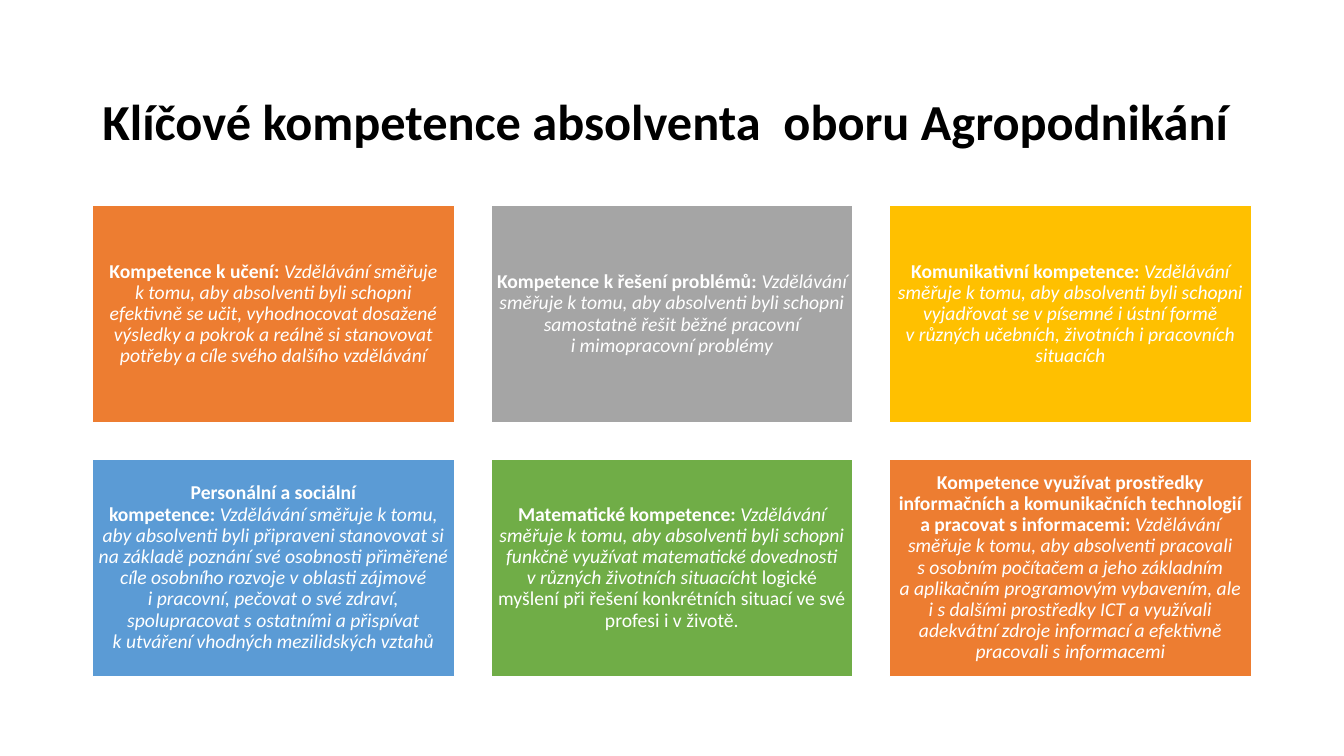
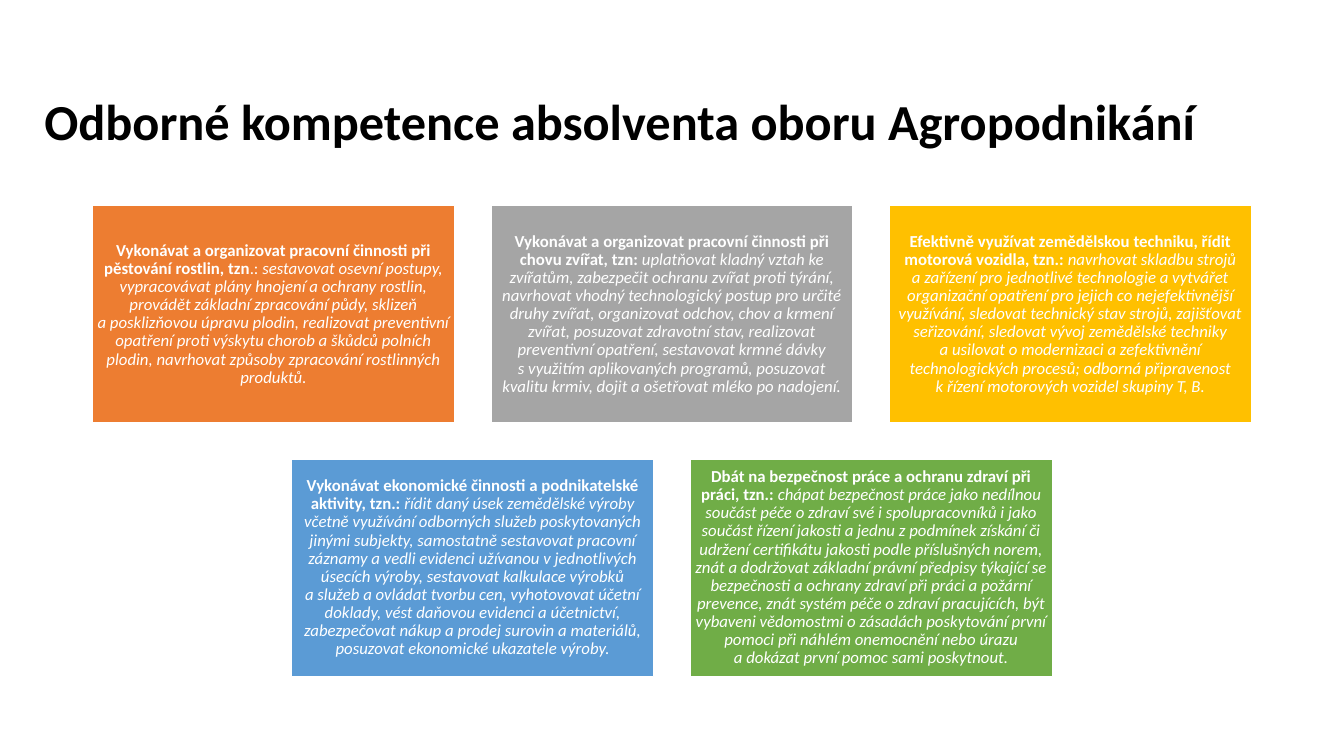
import dataclasses

import pptx
import pptx.dml.color
import pptx.enum.shapes
import pptx.enum.text
import pptx.util

Pt = pptx.util.Pt
RGBColor = pptx.dml.color.RGBColor
Alignment = pptx.enum.text.PP_ALIGN


@dataclasses.dataclass(frozen=True)
class Theme:
    font: str = "Calibri"
    title_size: int = 36
    title_color: str = "000000"
    card_text: str = "FFFFFF"
    card_fills: tuple = ("ED7D31", "A5A5A5", "FFC000", "5B9BD5", "70AD47")
    line_spacing: float = 0.9
    inset_ratio: float = 0.3


@dataclasses.dataclass(frozen=True)
class Box:
    left: float
    top: float
    width: float
    height: float

    def lengths(self):
        return [Pt(round(length, 2)) for length in dataclasses.astuple(self)]


THEME = Theme()
SLIDE_WIDTH, SLIDE_HEIGHT = 960, 540
GRID = Box(66, 146.8, 828, 336.4)
COLUMNS = 3
GAP_RATIO = 0.1
CARD_RATIO = 0.6
BOLD, ITALIC, PLAIN = "bold", "italic", "plain"
NO_BREAK_SPACE = chr(160)
SHORT_WORDS = ("a", "i", "k", "o", "s", "v")

KEY_COMPETENCES = [
    [("Kompetence k učení: ", BOLD),
     ("Vzdělávání směřuje k tomu, aby absolventi byli schopni efektivně se učit, "
      "vyhodnocovat dosažené výsledky a pokrok a reálně si stanovovat potřeby "
      "a cíle svého dalšího vzdělávání", ITALIC)],
    [("Kompetence k řešení problémů: ", BOLD),
     ("Vzdělávání směřuje k tomu, aby absolventi byli schopni samostatně řešit "
      "běžné pracovní i mimopracovní problémy", ITALIC)],
    [("Komunikativní kompetence: ", BOLD),
     ("Vzdělávání směřuje k tomu, aby absolventi byli schopni vyjadřovat se "
      "v písemné i ústní formě v různých učebních, životních i pracovních "
      "situacích", ITALIC)],
    [("Personální a sociální kompetence: ", BOLD),
     ("Vzdělávání směřuje k tomu, aby absolventi byli připraveni stanovovat si "
      "na základě poznání své osobnosti přiměřené cíle osobního rozvoje "
      "v oblasti zájmové i pracovní, pečovat o své zdraví, spolupracovat "
      "s ostatními a přispívat k utváření vhodných mezilidských vztahů", ITALIC)],
    [("Matematické kompetence: ", BOLD),
     ("Vzdělávání směřuje k tomu, aby absolventi byli schopni funkčně využívat "
      "matematické dovednosti v různých životních situacích", ITALIC),
     ("t logické myšlení při řešení konkrétních situací ve své profesi "
      "i v životě.", PLAIN)],
    [("Kompetence využívat prostředky informačních a komunikačních technologií "
      "a pracovat s informacemi: ", BOLD),
     ("Vzdělávání směřuje k tomu, aby absolventi pracovali s osobním počítačem "
      "a jeho základním a aplikačním programovým vybavením, ale i s dalšími "
      "prostředky ICT a využívali adekvátní zdroje informací a efektivně "
      "pracovali s informacemi", ITALIC)],
]

PROFESSIONAL_COMPETENCES = [
    [("Vykonávat a organizovat pracovní činnosti při pěstování rostlin, tzn", BOLD),
     (".: ", PLAIN),
     ("sestavovat osevní postupy, vypracovávat plány hnojení a ochrany rostlin, "
      "provádět základní zpracování půdy, sklizeň a posklizňovou úpravu plodin, "
      "realizovat preventivní opatření proti výskytu chorob a škůdců polních "
      "plodin, navrhovat způsoby zpracování rostlinných produktů.", ITALIC)],
    [("Vykonávat a organizovat pracovní činnosti při chovu zvířat, tzn: ", BOLD),
     ("uplatňovat kladný vztah ke zvířatům, zabezpečit ochranu zvířat proti "
      "týrání, navrhovat vhodný technologický postup pro určité druhy zvířat, "
      "organizovat odchov, chov a krmení zvířat, posuzovat zdravotní stav, "
      "realizovat preventivní opatření, sestavovat krmné dávky s využitím "
      "aplikovaných programů, posuzovat kvalitu krmiv, dojit a ošetřovat mléko "
      "po nadojení.", ITALIC)],
    [("Efektivně využívat zemědělskou techniku, řídit motorová vozidla, tzn.: ", BOLD),
     ("navrhovat skladbu strojů a zařízení pro jednotlivé technologie "
      "a vytvářet organizační opatření pro jejich co nejefektivnější využívání, "
      "sledovat technický stav strojů, zajišťovat seřizování, sledovat vývoj "
      "zemědělské techniky a usilovat o modernizaci a zefektivnění "
      "technologických procesů; odborná připravenost k řízení motorových "
      "vozidel skupiny T, B.", ITALIC)],
    [("Vykonávat ekonomické činnosti a podnikatelské aktivity, tzn.: ", BOLD),
     ("řídit daný úsek zemědělské výroby včetně využívání odborných služeb "
      "poskytovaných jinými subjekty, samostatně sestavovat pracovní záznamy "
      "a vedli evidenci užívanou v jednotlivých úsecích výroby, sestavovat "
      "kalkulace výrobků a služeb a ovládat tvorbu cen, vyhotovovat účetní "
      "doklady, vést daňovou evidenci a účetnictví, zabezpečovat nákup a prodej "
      "surovin a materiálů, posuzovat ekonomické ukazatele výroby.", ITALIC)],
    [("Dbát na bezpečnost práce a ochranu zdraví při práci, tzn.: ", BOLD),
     ("chápat bezpečnost práce jako nedílnou součást péče o zdraví své "
      "i spolupracovníků i jako součást řízení jakosti a jednu z podmínek "
      "získání či udržení certifikátu jakosti podle příslušných norem, znát "
      "a dodržovat základní právní předpisy týkající se bezpečnosti a ochrany "
      "zdraví při práci a požární prevence, znát systém péče o zdraví "
      "pracujících, být vybaveni vědomostmi o zásadách poskytování první pomoci "
      "při náhlém onemocnění nebo úrazu a dokázat první pomoc sami "
      "poskytnout.", ITALIC)],
]


def bind_short_words(text):
    words = text.split(" ")
    bound = words[0]
    for previous, word in zip(words, words[1:]):
        binds = previous in SHORT_WORDS or previous.endswith(":")
        bound += (NO_BREAK_SPACE if binds else " ") + word
    return bound


def write_paragraph(text_frame, runs, size, color, alignment):
    text_frame.word_wrap = True
    text_frame.auto_size = pptx.enum.text.MSO_AUTO_SIZE.NONE
    text_frame.vertical_anchor = pptx.enum.text.MSO_ANCHOR.MIDDLE
    paragraph = text_frame.paragraphs[0]
    paragraph.alignment = alignment
    paragraph.line_spacing = THEME.line_spacing
    paragraph.space_before = Pt(0)
    for text, style in runs:
        run = paragraph.add_run()
        run.text = bind_short_words(text)
        run.font.name = THEME.font
        run.font.size = Pt(size)
        run.font.bold = style == BOLD
        run.font.italic = style == ITALIC
        run.font.color.rgb = RGBColor.from_string(color)


def place_title(slide, box, text):
    title = slide.shapes.title
    title.left, title.top, title.width, title.height = box.lengths()
    write_paragraph(title.text_frame, [(text, BOLD)], THEME.title_size,
                    THEME.title_color, Alignment.LEFT)


def place_card(slide, box, runs, fill, size):
    card = slide.shapes.add_shape(
        pptx.enum.shapes.MSO_SHAPE.RECTANGLE, *box.lengths())
    card.shadow.inherit = False
    card.fill.solid()
    card.fill.fore_color.rgb = RGBColor.from_string(fill)
    card.line.color.rgb = RGBColor.from_string(THEME.card_text)
    card.line.width = Pt(1)
    text_frame = card.text_frame
    inset = Pt(size * THEME.inset_ratio)
    text_frame.margin_left = text_frame.margin_right = inset
    text_frame.margin_top = text_frame.margin_bottom = inset
    write_paragraph(text_frame, runs, size, THEME.card_text, Alignment.CENTER)


def place_card_grid(slide, box, cards, size):
    width = box.width / (COLUMNS + (COLUMNS - 1) * GAP_RATIO)
    height = width * CARD_RATIO
    gap = width * GAP_RATIO
    for index, runs in enumerate(cards):
        row, column = divmod(index, COLUMNS)
        row_count = min(COLUMNS, len(cards) - row * COLUMNS)
        row_width = row_count * (width + gap) - gap
        left = box.left + (box.width - row_width) / 2 + column * (width + gap)
        top = box.top + row * (height + gap)
        fill = THEME.card_fills[index % len(THEME.card_fills)]
        place_card(slide, Box(left, top, width, height), runs, fill, size)


def add_competence_slide(presentation, title, title_box, cards, size):
    slide = presentation.slides.add_slide(presentation.slide_layouts[5])
    place_title(slide, title_box, title)
    place_card_grid(slide, GRID, cards, size)


def main():
    presentation = pptx.Presentation()
    presentation.slide_width = Pt(SLIDE_WIDTH)
    presentation.slide_height = Pt(SLIDE_HEIGHT)
    add_competence_slide(
        presentation, "Klíčové kompetence absolventa  oboru Agropodnikání",
        Box(66, 44, 828, 89), KEY_COMPETENCES, 14)
    add_competence_slide(
        presentation, "Odborné kompetence absolventa oboru Agropodnikání",
        Box(24.5, 44, 935.5, 89), PROFESSIONAL_COMPETENCES, 12)
    presentation.save("out.pptx")


if __name__ == "__main__":
    main()
